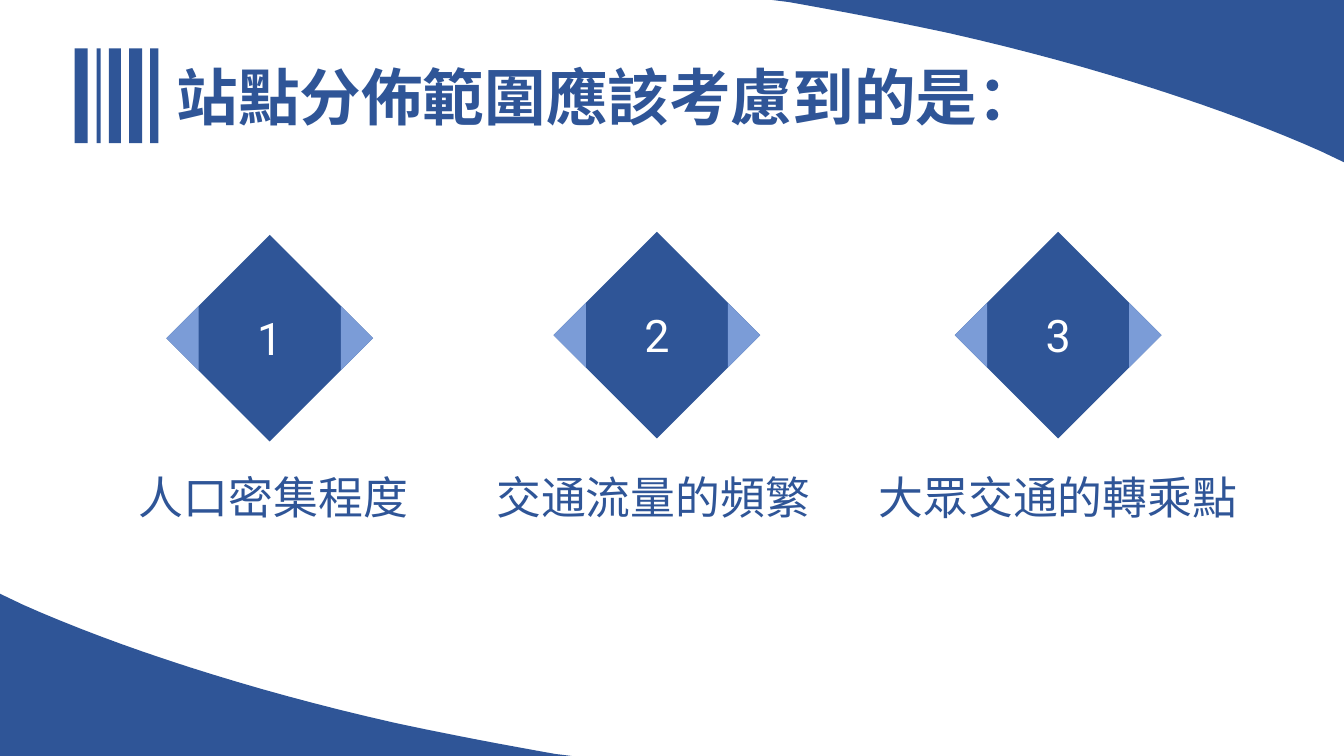
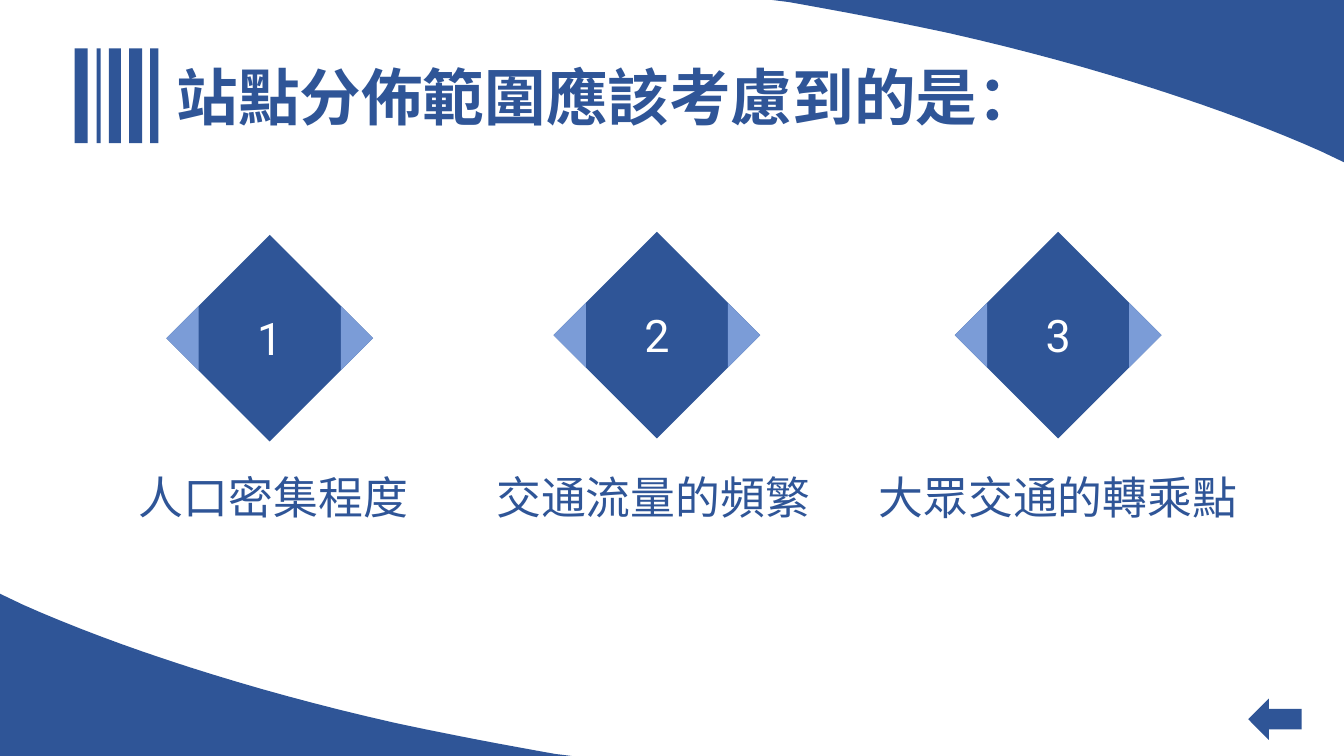
from lxml.etree import SubElement
from pptx import Presentation
from pptx.dml.color import RGBColor
from pptx.enum.shapes import MSO_SHAPE as Shape
from pptx.enum.text import MSO_ANCHOR as Anchor, MSO_AUTO_SIZE as Fit, PP_ALIGN as Align
from pptx.oxml.ns import qn
from pptx.util import Pt

PX = 9144
WIDE, HIGH = 1333, 750
NAVY = RGBColor(0x2F, 0x55, 0x97)
SKY = RGBColor(0x7B, 0x9C, 0xD7)
WHITE = RGBColor(0xFF, 0xFF, 0xFF)
HEAD_FONT, BODY_FONT = "Noto Sans CJK SC", "Roboto"

TITLE = "站點分佈範圍應該考慮到的是："
BARS = [(74, 13), (96, 4), (108, 12), (128, 13), (149, 8)]
EDGE = [
    [(23, 600), (115, 641), (245, 684), (391, 717)],
    [(391, 717), (447, 729), (500, 739), (551, 748)],
]
STEPS = 16
SIDE, WING = 205, 32
POINTS = [
    ("1", 165, 233, "人口密集程度", 128, 298, Align.LEFT),
    ("2", 549, 230, "交通流量的頻繁", 470, 356, Align.CENTER),
    ("3", 947, 230, "大眾交通的轉乘點", 861, 377, Align.CENTER),
]


def paint(shape, color):
    shape.shadow.inherit = False
    shape.fill.solid()
    shape.fill.fore_color.rgb = color
    shape.line.fill.background()


def block(shapes, kind, x, y, w, h, color):
    shape = shapes.add_shape(kind, x * PX, y * PX, w * PX, h * PX)
    paint(shape, color)


def outline(shapes, dots, color):
    dots = [(round(x * PX), round(y * PX)) for x, y in dots]
    pen = shapes.build_freeform(*dots[0], scale=1.0)
    pen.add_line_segments(dots[1:], close=True)
    paint(pen.convert_to_shape(), color)


def write(frame, text, size, font, color, align, bold=False):
    frame.word_wrap = False
    frame.auto_size = Fit.SHAPE_TO_FIT_TEXT
    line = frame.paragraphs[0]
    line.alignment = align
    run = line.add_run()
    run.text = text
    run.font.size = Pt(size)
    run.font.name = font
    run.font.bold = bold
    run.font.color.rgb = color
    SubElement(run.font._element, qn("a:ea"), typeface=font)


def label(shapes, text, x, y, w, color, align):
    box = shapes.add_textbox(x * PX, y * PX, w * PX, 64 * PX)
    write(box.text_frame, text, 32, BODY_FONT, color, align)


def bend(a, b, c, d):
    for step in range(STEPS + 1):
        t = step / STEPS
        s = 1 - t
        yield tuple(
            s ** 3 * p + 3 * s * s * t * q + 3 * s * t * t * r + t ** 3 * u
            for p, q, r, u in zip(a, b, c, d)
        )


def corners(shapes):
    curve = [dot for part in EDGE for dot in bend(*part)]
    low = [(0, 589), *curve, (567, HIGH), (0, HIGH)]
    outline(shapes, low, NAVY)
    outline(shapes, [(WIDE - x, HIGH - y) for x, y in low], NAVY)


def header(shapes):
    bars = shapes.add_group_shape().shapes
    for x, w in BARS:
        block(bars, Shape.RECTANGLE, x, 48, w, 94, NAVY)
    title = shapes.title
    title.left, title.top, title.width, title.height = (
        n * PX for n in (165, 53, 850, 84))
    title.text_frame.vertical_anchor = Anchor.MIDDLE
    write(title.text_frame, TITLE, 44, HEAD_FONT, NAVY, Align.LEFT, True)


def gem(shapes, mark, x, y):
    parts = shapes.add_group_shape().shapes
    block(parts, Shape.DIAMOND, x, y, SIDE, SIDE, NAVY)
    label(parts, mark, x + 34, y + 70, 137, WHITE, Align.CENTER)
    mid = y + SIDE / 2
    for tip, base in ((x + SIDE, x + SIDE - WING), (x, x + WING)):
        outline(parts, [(base, mid - WING), (tip, mid), (base, mid + WING)], SKY)


def build(deck):
    shapes = deck.slides.add_slide(deck.slide_layouts[5]).shapes
    corners(shapes)
    header(shapes)
    for mark, x, y, *_ in POINTS:
        gem(shapes, mark, x, y)
    for *_, text, x, w, align in POINTS:
        label(shapes, text, x, 461, w, NAVY, align)
    return shapes


def main():
    deck = Presentation()
    deck.slide_width, deck.slide_height = WIDE * PX, HIGH * PX
    build(deck)
    last = build(deck)
    block(last, Shape.LEFT_ARROW, 1238, 693, 53, 41, NAVY)
    deck.save("out.pptx")


if __name__ == "__main__":
    main()
